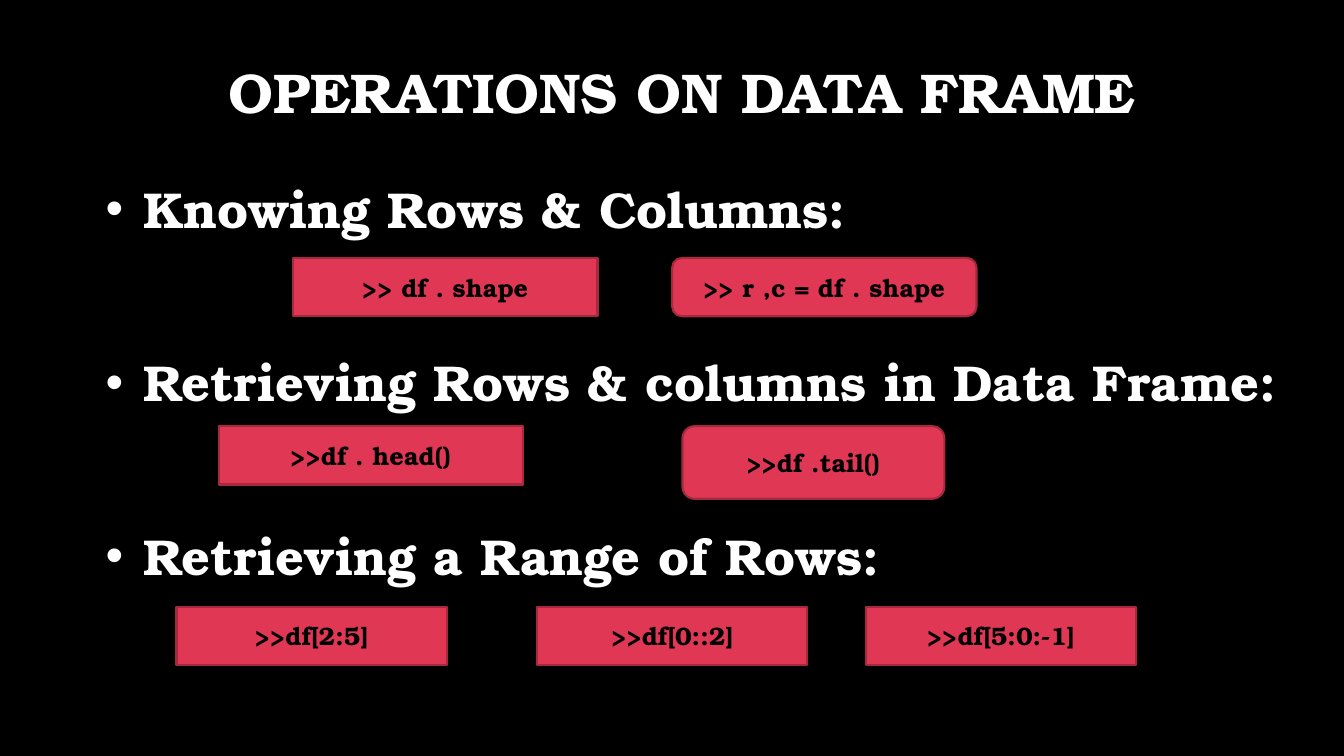
from lxml import etree
from pptx import Presentation
from pptx.dml.color import RGBColor
from pptx.enum.shapes import MSO_SHAPE
from pptx.enum.text import MSO_ANCHOR, MSO_AUTO_SIZE, PP_ALIGN
from pptx.oxml.ns import qn
from pptx.util import Cm, Pt

RECT, ROUND = MSO_SHAPE.RECTANGLE, MSO_SHAPE.ROUNDED_RECTANGLE
CENTER, LEFT = PP_ALIGN.CENTER, PP_ALIGN.LEFT
FONT = "TeX Gyre Bonum"
BLACK, WHITE, RED, DARK_RED = "000000", "FFFFFF", "E03754", "A6293E"

# Content: each operation has a heading, the top of its commands (cm),
# and commands as (code, shape, left, width, height) in cm
TITLE = "OPERATIONS ON DATA FRAME"
OPERATIONS = [
    ("Knowing Rows & Columns:", 6.5, [
        (">> df . shape", RECT, 7.39, 7.67, 1.47),
        (">> r ,c = df . shape", ROUND, 16.94, 7.67, 1.47),
    ]),
    ("Retrieving Rows & columns in Data Frame:", 10.74, [
        (">>df . head()", RECT, 5.51, 7.67, 1.47),
        (">>df .tail()", ROUND, 17.2, 6.6, 1.83),
    ]),
    ("Retrieving a Range of Rows:", 15.29, [
        (">>df[2:5]", RECT, 4.45, 6.81, 1.47),
        (">>df[0::2]", RECT, 13.54, 6.81, 1.47),
        (">>df[5:0:-1]", RECT, 21.82, 6.81, 1.47),
    ]),
]
FIRST_GAP, HEADING_GAP = 10, 72  # points above the first and the later headings


def color(hex_string):
    return RGBColor.from_string(hex_string)


def style(paragraph, size, hex_string, align):
    paragraph.alignment = align
    font = paragraph.font
    font.name, font.size, font.bold = FONT, Pt(size), True
    font.color.rgb = color(hex_string)


def add_bullet(paragraph, indent):
    properties = paragraph._p.get_or_add_pPr()
    properties.set("marL", str(indent))
    properties.set("indent", str(-indent))
    bullet_font = etree.Element(qn("a:buFont"), typeface="Arial")
    bullet = etree.Element(qn("a:buChar"), char="•")
    text_defaults = properties.find(qn("a:defRPr"))
    text_defaults.addprevious(bullet_font)
    text_defaults.addprevious(bullet)


def add_command(slide, code, kind, left, top, width, height):
    command = slide.shapes.add_shape(kind, Cm(left), Cm(top), Cm(width), Cm(height))
    command.shadow.inherit = False
    command.fill.solid()
    command.fill.fore_color.rgb = color(RED)
    command.line.color.rgb = color(DARK_RED)
    command.line.width = Pt(1.5)
    frame = command.text_frame
    frame.word_wrap = True
    frame.vertical_anchor = MSO_ANCHOR.MIDDLE
    frame.text = code
    style(frame.paragraphs[0], 18, BLACK, CENTER)


def main():
    prs = Presentation()
    prs.slide_width, prs.slide_height = Cm(33.87), Cm(19.05)
    slide = prs.slides.add_slide(prs.slide_layouts[5])
    slide.background.fill.solid()
    slide.background.fill.fore_color.rgb = color(BLACK)

    # Title
    title = slide.shapes.title
    title.left, title.top, title.width, title.height = Cm(2.01), Cm(1.32), Cm(30.35), Cm(1.98)
    title.text_frame.text = TITLE
    title.text_frame.auto_size = MSO_AUTO_SIZE.NONE
    title.text_frame.vertical_anchor = MSO_ANCHOR.BOTTOM
    title.text_frame.paragraphs[0].line_spacing = 0.9
    style(title.text_frame.paragraphs[0], 40, WHITE, CENTER)

    # Bulleted headings, spaced to leave room for the commands
    headings = slide.shapes.add_textbox(Cm(2.41), Cm(4.06), Cm(30.35), Cm(13.64)).text_frame
    headings.word_wrap = True
    headings.text = "\n".join(heading for heading, _, _ in OPERATIONS)
    for number, paragraph in enumerate(headings.paragraphs):
        paragraph.line_spacing = 1.2
        paragraph.space_before = Pt(HEADING_GAP if number else FIRST_GAP)
        style(paragraph, 36, WHITE, LEFT)
        add_bullet(paragraph, Cm(0.95))

    # Commands under each heading
    for _, top, commands in OPERATIONS:
        for code, kind, left, width, height in commands:
            add_command(slide, code, kind, left, top, width, height)

    prs.save("out.pptx")


if __name__ == "__main__":
    main()
